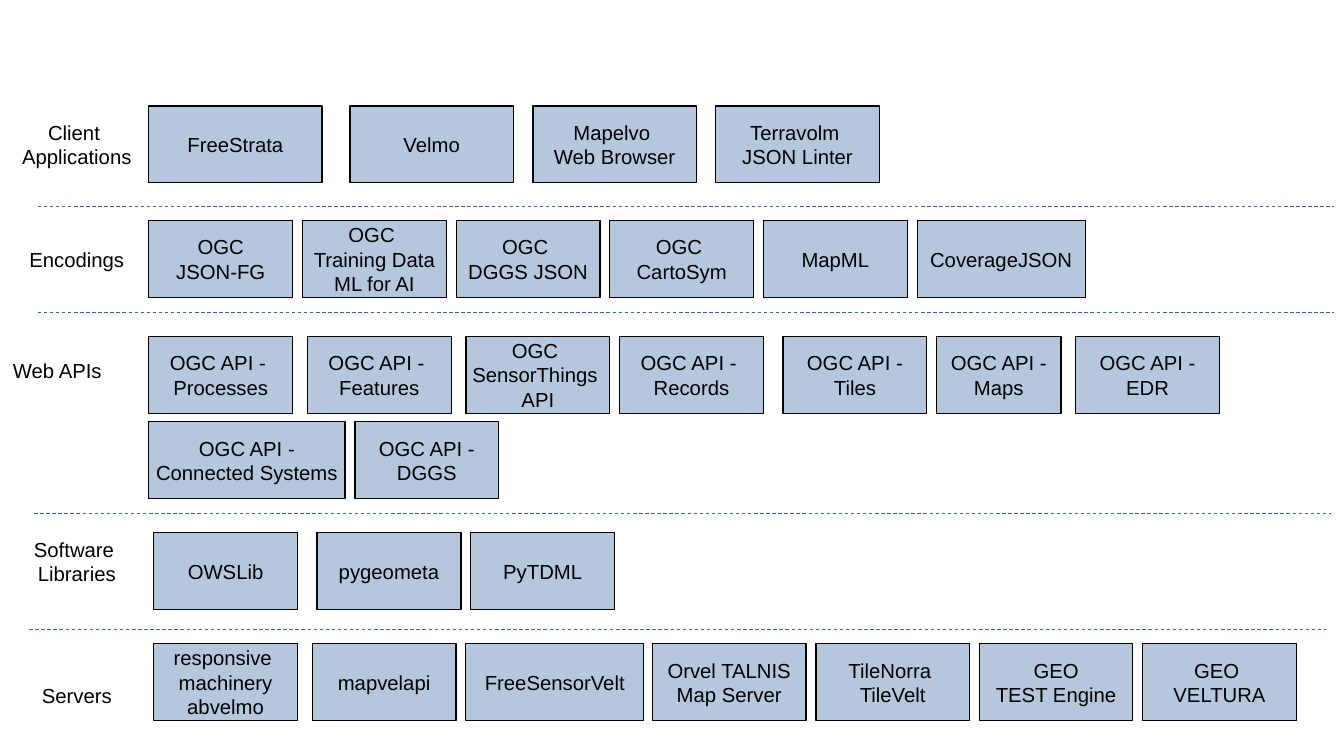
"""Build a slide of software and standards grouped in five architecture layers."""
from lxml import etree
from pptx import Presentation
from pptx import util as u
from pptx.dml.color import RGBColor
from pptx.enum import dml, shapes, text
from pptx.oxml.ns import qn

COLORS = {"box": "B4C7DC", "ink": "000000", "divider": "3465A4"}
BOX_HEIGHT = 0.63
LABEL_WIDTH, LABEL_HEIGHT = 1.02, 0.55
DIVIDER_LENGTH = 10.63

layer_labels = [
    (0.12, 0.91, "Client \nApplications"),
    (0.12, 1.85, "Encodings"),
    (-0.04, 2.76, "Web APIs"),
    (0.12, 4.33, "Software \nLibraries"),
    (0.12, 5.43, "Servers"),
]
dividers = [(0.31, 1.69), (0.31, 2.56), (0.28, 4.21), (0.24, 5.16)]
box_rows = [
    (0.87, [
        (1.22, 1.42, "FreeStrata"),
        (2.87, 1.34, "Velmo"),
        (4.37, 1.34, "Mapelvo \nWeb Browser"),
        (5.87, 1.34, "Terravolm \nJSON Linter"),
    ]),
    (1.81, [
        (1.22, 1.18, "OGC\nJSON-FG"),
        (2.48, 1.18, "OGC \nTraining Data\nML for AI"),
        (3.74, 1.18, "OGC \nDGGS JSON"),
        (5.0, 1.18, "OGC \nCartoSym"),
        (6.26, 1.18, "MapML"),
        (7.52, 1.38, "CoverageJSON"),
    ]),
    (2.76, [
        (1.22, 1.18, "OGC API - \nProcesses"),
        (2.52, 1.18, "OGC API - \nFeatures"),
        (3.82, 1.18, "OGC \nSensorThings \nAPI"),
        (5.08, 1.18, "OGC API - \nRecords"),
        (6.42, 1.18, "OGC API -\nTiles"),
        (7.68, 1.02, "OGC API -\nMaps"),
        (8.82, 1.18, "OGC API -\nEDR"),
    ]),
    (3.46, [
        (1.22, 1.61, " OGC API - \nConnected Systems"),
        (2.91, 1.18, "OGC API -\nDGGS"),
    ]),
    (4.37, [
        (1.26, 1.18, "OWSLib"),
        (2.6, 1.18, "pygeometa"),
        (3.86, 1.18, "PyTDML"),
    ]),
    (5.28, [
        (1.26, 1.18, "responsive \nmachinery\nabvelmo"),
        (2.56, 1.18, "mapvelapi"),
        (3.82, 1.46, "FreeSensorVelt"),
        (5.35, 1.26, "Orvel TALNIS\nMap Server"),
        (6.69, 1.26, "TileNorra \nTileVelt"),
        (8.03, 1.26, "GEO\nTEST Engine"),
        (9.37, 1.26, "GEO \nVELTURA"),
    ]),
]


def write_centered(shape, wording):
    frame = shape.text_frame
    frame.text = wording
    frame.word_wrap = False
    frame.margin_left = frame.margin_right = 0
    frame.vertical_anchor = text.MSO_ANCHOR.MIDDLE
    for paragraph in frame.paragraphs:
        paragraph.alignment = text.PP_ALIGN.CENTER
        for run in paragraph.runs:
            run.font.name = "Arial"
            run.font.size = u.Pt(12)
            run.font.color.rgb = RGBColor.from_string(COLORS["ink"])


presentation = Presentation()
presentation.slide_width = u.Inches(11.02)
presentation.slide_height = u.Inches(6.2)
slide = presentation.slides.add_slide(presentation.slide_layouts[6])

for left, top in dividers:
    divider = slide.shapes.add_connector(
        shapes.MSO_CONNECTOR.STRAIGHT, u.Inches(left), u.Inches(top),
        u.Inches(left + DIVIDER_LENGTH), u.Inches(top))
    divider.line.color.rgb = RGBColor.from_string(COLORS["divider"])
    divider.line.width = u.Pt(0.5)
    divider.line.dash_style = dml.MSO_LINE.DASH
    etree.SubElement(divider._element.spPr, qn("a:effectLst"))

for left, top, wording in layer_labels:
    label = slide.shapes.add_textbox(
        u.Inches(left), u.Inches(top), u.Inches(LABEL_WIDTH), u.Inches(LABEL_HEIGHT))
    write_centered(label, wording)

for top, boxes in box_rows:
    for left, width, wording in boxes:
        box = slide.shapes.add_shape(
            shapes.MSO_SHAPE.RECTANGLE, u.Inches(left), u.Inches(top),
            u.Inches(width), u.Inches(BOX_HEIGHT))
        box.shadow.inherit = False
        box.fill.solid()
        box.fill.fore_color.rgb = RGBColor.from_string(COLORS["box"])
        box.line.color.rgb = RGBColor.from_string(COLORS["ink"])
        box.line.width = u.Pt(0)
        write_centered(box, wording)

presentation.save("out.pptx")
